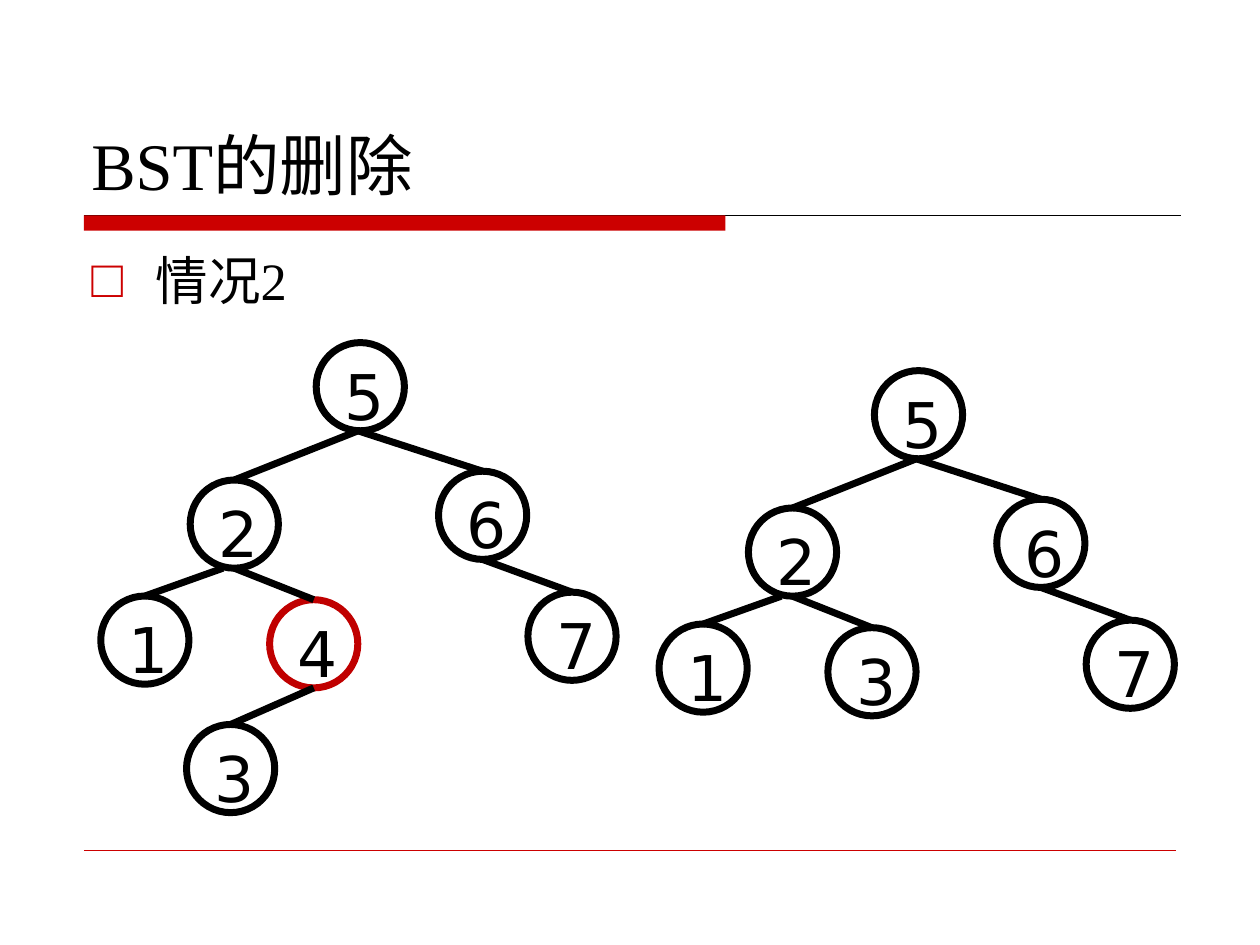
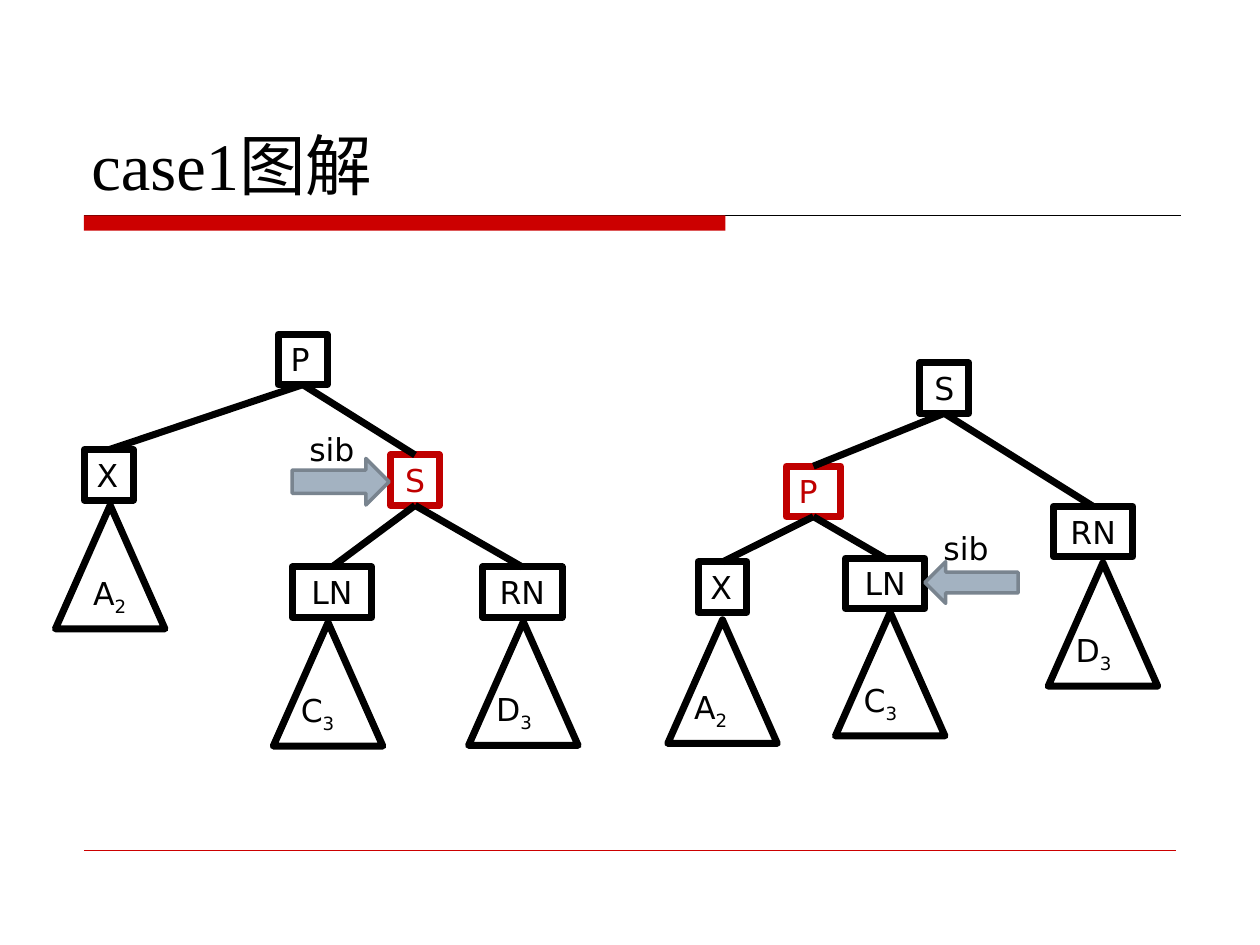
from lxml import etree
from pptx import Presentation
from pptx.dml.color import RGBColor
from pptx.enum.shapes import MSO_CONNECTOR, MSO_SHAPE
from pptx.enum.text import MSO_ANCHOR, MSO_AUTO_SIZE, PP_ALIGN
from pptx.oxml.ns import qn
from pptx.util import Pt

OVAL, RECT, TRI = MSO_SHAPE.OVAL, MSO_SHAPE.RECTANGLE, MSO_SHAPE.ISOSCELES_TRIANGLE
RIGHT, LEFT = MSO_SHAPE.RIGHT_ARROW, MSO_SHAPE.LEFT_ARROW
LINE = MSO_CONNECTOR.STRAIGHT
TOP, BASE = MSO_ANCHOR.TOP, MSO_ANCHOR.BOTTOM
FLUSH, MID = PP_ALIGN.LEFT, PP_ALIGN.CENTER
FIXED = MSO_AUTO_SIZE.NONE

HUES = {"ink": "000000", "band": "CC0000", "mark": "C00000",
        "arrow": "A3B2C1", "rim": "79848F"}
SERIF, SANS = "Times New Roman", "DejaVu Sans"
DISC, BOX = 50.4, 28.8
TRI_W, TRI_H = 62.6, 70.6

KEYS = {"5": (180.7, 195.8), "2": (108.7, 274.3), "1": (57.6, 340.6),
        "4": (154.1, 342.7), "3": (106.6, 414), "6": (250.6, 269.3),
        "7": (301.7, 338.4)}
LINKS = [("5", "2", -1.3), ("5", "6", -1.3), ("2", "1", -6.5),
         ("2", "4", 0), ("6", "7", 0), ("4", "3", 0)]
SHIFT = (319, 16)

BEFORE = {"P": (159, 191, 28), "X": (48.2, 257, 28), "S": (223.2, 260, 28),
          "LN": (167, 324, 45.4), "RN": (275.8, 324, 45.4)}
AFTER = {"P": (449.3, 266.4, 31), "X": (398.9, 321.1, 28), "S": (525.6, 207.4, 28),
         "LN": (483.1, 319, 45.4), "RN": (602, 289.4, 45.4)}
OLD_LINKS = ["P X", "P S", "S LN", "S RN"]
NEW_LINKS = ["P X", "S P", "P LN", "S RN"]
OLD_TREES = [("A", "2", 31.7, 288.7, 14.4), ("C", "3", 156.2, 355.7, 8.6),
             ("D", "3", 267.8, 355.3, 8.6)]
NEW_TREES = [("A", "2", 381.6, 354.2, 8), ("C", "3", 477.4, 349.9, 9),
             ("D", "3", 599, 321.5, 8.6)]


class Deck:
    """Hold the shared style and the current slide."""

    def __init__(self):
        self.prs = Presentation()
        self.prs.slide_width, self.prs.slide_height = Pt(720), Pt(540)
        self.slide = None

    def hue(self, name):
        return RGBColor.from_string(HUES[name])

    def page(self, title, layout):
        self.slide = self.prs.slides.add_slide(self.prs.slide_layouts[layout])
        self.line((48, 123.3), (674.6, 123.3), "ink", 0.75)
        self.shape(RECT, 48, 123.1, 366.5, 8.8, None, fill="band")
        self.line((48, 486), (672, 486), "band", 0.25)
        self.holder(self.slide.shapes.title, (45, 24, 630, 96), BASE, title, 38)

    def holder(self, item, area, anchor, text, size):
        item.left, item.top, item.width, item.height = map(Pt, area)
        frame = item.text_frame
        frame.auto_size, frame.vertical_anchor = FIXED, anchor
        para = frame.paragraphs[0]
        para.alignment, para.space_before = FLUSH, Pt(0)
        self.run(para, text, size, SERIF)
        return para

    def bullet(self, text):
        body = self.slide.placeholders[1]
        para = self.holder(body, (45, 138, 630, 336), TOP, text, 30)
        props = para._p.get_or_add_pPr()
        props.set("marL", str(Pt(36.7)))
        props.set("indent", str(-Pt(36.7)))
        tint = etree.SubElement(props, qn("a:buClr"))
        etree.SubElement(tint, qn("a:srgbClr")).set("val", HUES["band"])
        etree.SubElement(props, qn("a:buChar")).set("char", "□")

    def run(self, para, text, size, font=SANS, hue="ink", sub=False):
        run = para.add_run()
        run.text = text
        run.font.size, run.font.name = Pt(size), font
        run.font.color.rgb = self.hue(hue)
        if sub:
            run._r.get_or_add_rPr().set("baseline", "-25000")

    def shape(self, kind, x, y, w, h, rim="ink", width=4, fill=None):
        item = self.slide.shapes.add_shape(kind, Pt(x), Pt(y), Pt(w), Pt(h))
        item.shadow.inherit = False
        if fill:
            item.fill.solid()
            item.fill.fore_color.rgb = self.hue(fill)
        else:
            item.fill.background()
        if rim:
            item.line.color.rgb = self.hue(rim)
            item.line.width = Pt(width)
        else:
            item.line.fill.background()
        return item

    def line(self, start, end, hue="ink", width=4):
        item = self.slide.shapes.add_connector(LINE, *map(Pt, start + end))
        item.line.color.rgb = self.hue(hue)
        item.line.width = Pt(width)
        etree.SubElement(item._element.spPr, qn("a:effectLst"))

    def words(self, item, text, size, hue="ink", align=FLUSH, sub=""):
        frame = item.text_frame
        frame.word_wrap, frame.vertical_anchor = True, TOP
        para = frame.paragraphs[0]
        para.alignment = align
        self.run(para, text, size, SANS, hue)
        if sub:
            self.run(para, sub, size, SANS, hue, True)

    def label(self, text, x, y, w, h, size=18, align=FLUSH, sub=""):
        item = self.slide.shapes.add_textbox(Pt(x), Pt(y), Pt(w), Pt(h))
        self.words(item, text, size, align=align, sub=sub)

    def discs(self, spots, links, mark=None):
        for key, (x, y) in spots.items():
            self.shape(OVAL, x, y, DISC, DISC, "mark" if key == mark else "ink")
            self.label(key, x + 9, y + 4.9, 32.4, 41, 36)
        for top, low, nudge in links:
            (x, y), (u, v) = spots[top], spots[low]
            self.line((x + DISC / 2 + nudge, y + DISC), (u + DISC / 2, v))

    def boxes(self, spots, links, mark, trees):
        for key, (x, y, w) in spots.items():
            hue = "mark" if key == mark else "ink"
            item = self.shape(RECT, x, y, w, BOX, hue)
            self.words(item, key, 18, hue, FLUSH if key in "PX" else MID)
        for pair in links:
            (x, y, w), (u, v, wide) = (spots[key] for key in pair.split())
            self.line((x + w / 2, y + BOX), (u + wide / 2, v))
        for name, sub, x, y, inset in trees:
            self.shape(TRI, x, y, TRI_W, TRI_H)
            self.label(name, x + inset, y + 35.7, 45.4, BOX, sub=sub)

    def arrow(self, kind, x, y, w, h):
        self.shape(kind, x, y, w, h, "rim", 2, "arrow")


def main():
    deck = Deck()
    deck.page("BST的删除", 1)
    deck.bullet("情况2")
    deck.discs(KEYS, LINKS, "4")
    dx, dy = SHIFT
    moved = {key: (x + dx, y + dy) for key, (x, y) in KEYS.items()}
    moved["3"] = moved.pop("4")
    links = [(top, low.replace("4", "3"), nudge) for top, low, nudge in LINKS[:-1]]
    deck.discs(moved, links)

    deck.page("case1图解", 5)
    deck.boxes(BEFORE, OLD_LINKS, "S", OLD_TREES)
    deck.arrow(RIGHT, 167, 262, 55.4, 26.6)
    deck.label("sib", 157.7, 242, 64, BOX, align=MID)
    deck.boxes(AFTER, NEW_LINKS, "P", NEW_TREES)
    deck.arrow(LEFT, 528.5, 321, 53.3, 23.8)
    deck.label("sib", 532, 298.8, 59, BOX)
    deck.prs.save("out.pptx")


if __name__ == "__main__":
    main()
